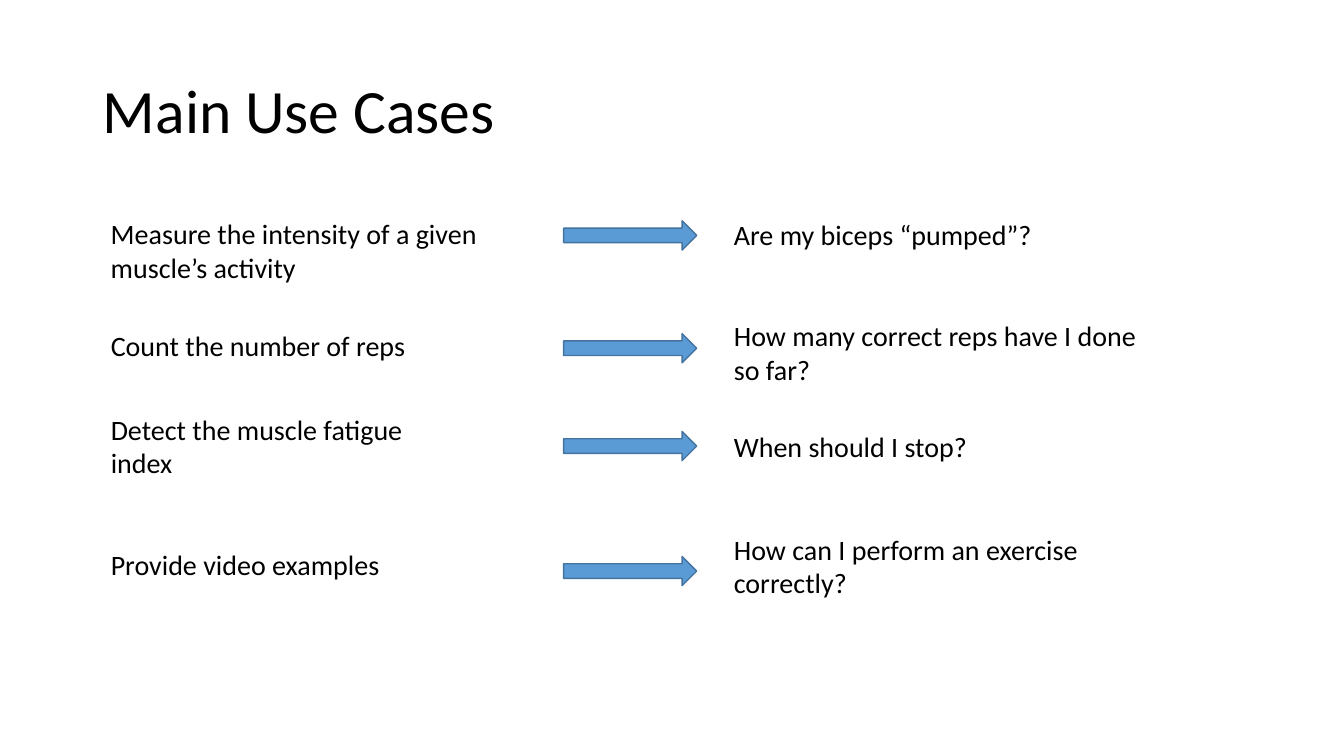
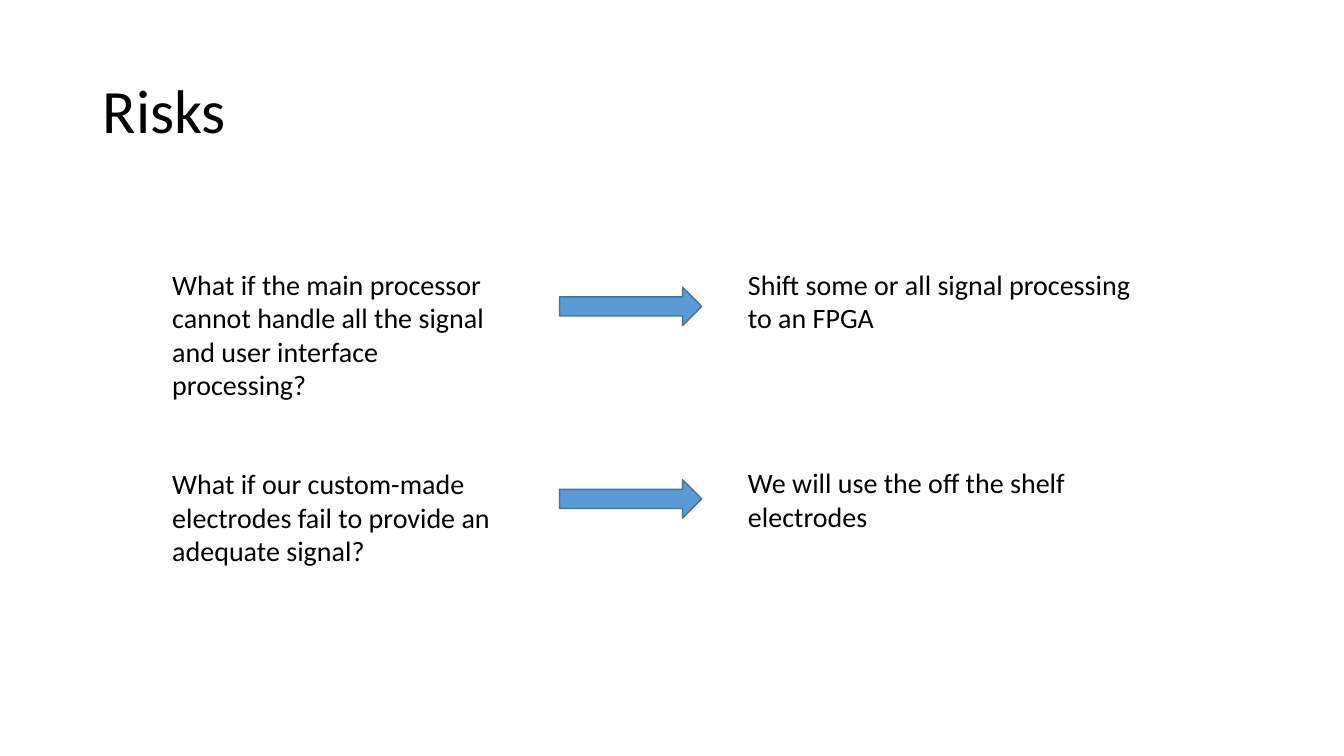
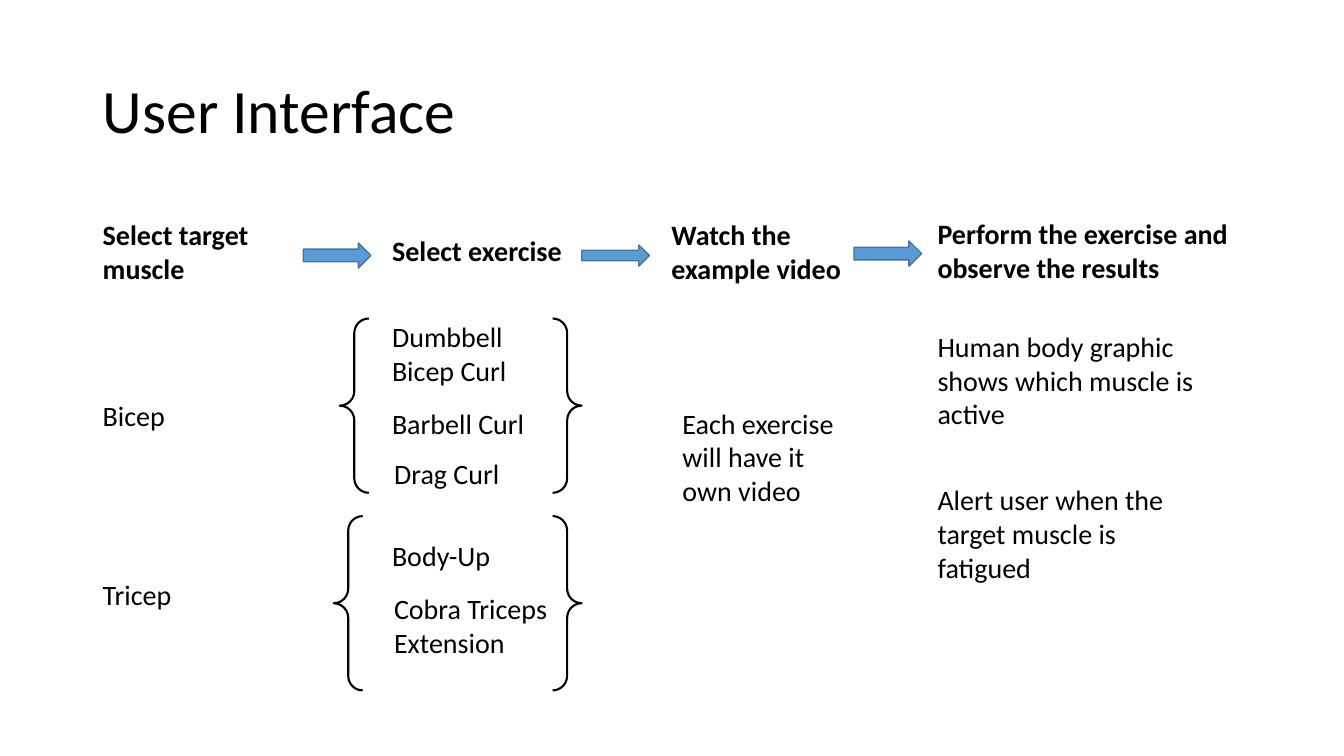
from dataclasses import dataclass

from pptx import Presentation
from pptx.dml.color import RGBColor
from pptx.enum.shapes import MSO_SHAPE as Shape
from pptx.enum.text import MSO_ANCHOR as Anchor, MSO_AUTO_SIZE as AutoSize, PP_ALIGN as Align
from pptx.util import Inches, Pt


@dataclass(frozen=True)
class Theme:
    font: str = "Calibri"
    title_size: int = 44
    text_size: int = 20
    ink: RGBColor = RGBColor(0x00, 0x00, 0x00)
    arrow_fill: RGBColor = RGBColor(0x5B, 0x9B, 0xD5)
    arrow_line: RGBColor = RGBColor(0x43, 0x73, 0x9E)
    arrow_width: float = 1
    brace_width: float = 1.5
    line_height: float = 0.335
    text_inset: float = 0.1


@dataclass(frozen=True)
class Box:
    left: float
    top: float
    width: float
    height: float

    def inside(self, right, down, width, height):
        return Box(self.left + right, self.top + down, width, height)

    def lengths(self):
        return [Inches(round(n, 2)) for n in (self.left, self.top, self.width, self.height)]


THEME = Theme()
TITLE_BOX = Box(0.92, 0.4, 11.5, 1.45)


def style_font(font, size, bold=False):
    font.name = THEME.font
    font.size = Pt(size)
    font.bold = bold
    font.color.rgb = THEME.ink


def add_page(deck, title):
    page = deck.slides.add_slide(deck.slide_layouts.get_by_name("Title Only"))
    heading = page.shapes.title
    heading.left, heading.top, heading.width, heading.height = TITLE_BOX.lengths()
    heading.text_frame.text = title
    heading.text_frame.vertical_anchor = Anchor.MIDDLE
    para = heading.text_frame.paragraphs[0]
    para.alignment = Align.LEFT
    para.line_spacing = 0.9
    style_font(para.font, THEME.title_size)
    return page


def add_text(page, area, right, down, width, lines, text, bold=False):
    height = THEME.text_inset + lines * THEME.line_height
    box = page.shapes.add_textbox(*area.inside(right, down, width, height).lengths())
    frame = box.text_frame
    frame.word_wrap = True
    frame.auto_size = AutoSize.SHAPE_TO_FIT_TEXT
    frame.text = text
    for para in frame.paragraphs:
        style_font(para.font, THEME.text_size, bold)


def add_arrow(page, box):
    arrow = page.shapes.add_shape(Shape.RIGHT_ARROW, *box.lengths())
    arrow.shadow.inherit = False
    arrow.fill.solid()
    arrow.fill.fore_color.rgb = THEME.arrow_fill
    arrow.line.color.rgb = THEME.arrow_line
    arrow.line.width = Pt(THEME.arrow_width)


def add_braces(page, box):
    braces = page.shapes.add_shape(Shape.DOUBLE_BRACE, *box.lengths())
    braces.shadow.inherit = False
    braces.fill.background()
    braces.line.color.rgb = THEME.ink
    braces.line.width = Pt(THEME.brace_width)


def add_pairs(page, area, arrow, answer_right, rows):
    arrow_right, arrow_width, arrow_height = arrow
    for question, arrow_down, answer in rows:
        add_text(page, area, 0, *question)
        add_arrow(page, area.inside(arrow_right, arrow_down, arrow_width, arrow_height))
        add_text(page, area, answer_right, *answer)


def add_steps(page, area, steps, arrows):
    for step in steps:
        add_text(page, area, *step, bold=True)
    for right, down, height in arrows:
        add_arrow(page, area.inside(right, down, 0.67, height))


def add_exercises(page, area, exercises):
    add_braces(page, area)
    for exercise in exercises:
        add_text(page, area, *exercise)


def add_notes_column(page, area, notes):
    for note in notes:
        add_text(page, area, 0, *note)


def add_use_cases(deck):
    page = add_page(deck, "Main Use Cases")
    add_pairs(page, Box(1, 2.1, 10.7, 4.24), (4.59, 1.32, 0.29), 6.18, [
        ((0, 4.74, 2, "Measure the intensity of a given muscle’s activity"), 0.09,
         (0.01, 3.88, 1, "Are my biceps “pumped”?")),
        ((1.11, 4.78, 1, "Count the number of reps"), 1.21,
         (1.01, 4.35, 2, "How many correct reps have I done so far?")),
        ((1.94, 3.32, 2, "Detect the muscle fatigue index"), 2.18,
         (2.11, 4.51, 1, "When should I stop?")),
        ((3.28, 3.71, 1, "Provide video examples"), 3.42,
         (3.13, 3.88, 2, "How can I perform an exercise correctly?")),
    ])


def add_risks(deck):
    page = add_page(deck, "Risks")
    add_pairs(page, Box(1.61, 2.6, 10.23, 3.09), (3.94, 1.41, 0.38), 5.71, [
        ((0, 3.52, 4, "What if the main processor cannot handle all the signal "
                      "and user interface processing?"), 0.25,
         (0, 4.52, 2, "Shift some or all signal processing\nto an FPGA")),
        ((1.98, 3.87, 3, "What if our custom-made electrodes fail to provide "
                         "an adequate signal?"), 2.16,
         (1.97, 4.52, 2, "We will use the off the shelf electrodes")),
    ])


def add_user_interface(deck):
    page = add_page(deck, "User Interface")
    add_steps(page, Box(0.92, 2.1, 11.5, 0.78), [
        (0, 0.01, 1.98, 2, "Select target muscle"),
        (2.87, 0.17, 2.21, 1, "Select exercise"),
        (5.64, 0.01, 1.92, 2, "Watch the example video"),
        (8.28, 0, 3.22, 2, "Perform the exercise and observe the results"),
    ], [(2.09, 0.31, 0.25), (4.85, 0.33, 0.21), (7.55, 0.29, 0.25)])
    add_notes_column(page, Box(0.92, 3.9, 1.5, 2.22), [
        (0, 1.5, 1, "Bicep"),
        (1.78, 1.5, 1, "Tricep"),
    ])
    add_exercises(page, Box(3.37, 3.16, 2.4, 1.73), [
        (0.42, -0.04, 1.87, 2, "Dumbbell Bicep Curl"),
        (0.42, 0.82, 2.43, 1, "Barbell Curl"),
        (0.44, 1.32, 2.49, 1, "Drag Curl"),
    ])
    add_exercises(page, Box(3.31, 5.12, 2.46, 1.73), [
        (0.48, 0.17, 3.1, 1, "Body-Up"),
        (0.5, 0.7, 1.86, 2, "Cobra Triceps Extension"),
    ])
    add_notes_column(page, Box(6.67, 3.98, 1.81, 1.11), [
        (0, 1.81, 3, "Each exercise will have it own video"),
    ])
    add_notes_column(page, Box(9.2, 3.22, 2.75, 2.63), [
        (0, 2.75, 3, "Human body graphic shows which muscle is active"),
        (1.52, 2.52, 3, "Alert user when the target muscle is fatigued"),
    ])


def main():
    deck = Presentation()
    deck.slide_width = Inches(13.33)
    deck.slide_height = Inches(7.5)
    add_use_cases(deck)
    add_risks(deck)
    add_user_interface(deck)
    deck.save("out.pptx")


if __name__ == "__main__":
    main()
